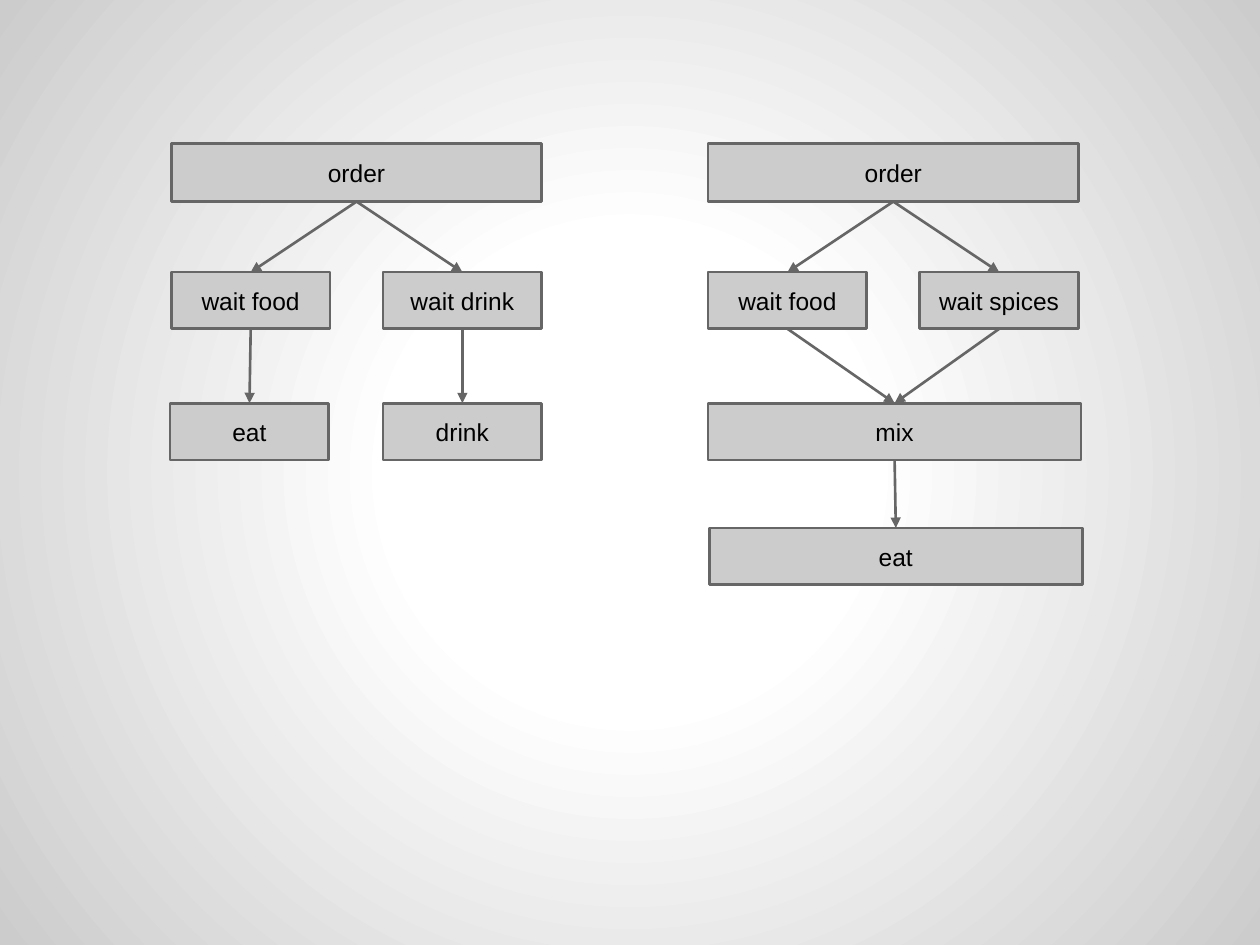
from pptx import Presentation
from pptx.dml.color import RGBColor
from pptx.enum.shapes import MSO_CONNECTOR, MSO_SHAPE
from pptx.enum.text import MSO_ANCHOR, MSO_AUTO_SIZE, PP_ALIGN
from pptx.oxml import parse_xml
from pptx.oxml.ns import nsdecls, qn
from pptx.util import Inches, Pt
from lxml import etree

GREY, DARK, BLACK = "CCCCCC", "666666", "000000"
ORDER_TOP, WAIT_TOP, THIRD_TOP, FOURTH_TOP = 1.14, 2.16, 3.2, 4.19
ORDER_HEIGHT, STEP_HEIGHT = 0.46, 0.45
HALF_WIDTH = 1.26
BOTTOM_SITE, TOP_SITE = 2, 0


def color(hex_value):
    return RGBColor.from_string(hex_value)


def paint_background(slide):
    slide.background.fill.gradient()
    default_gradient = slide.element.find(".//" + qn("a:gradFill"))
    stops = "".join(
        f'<a:gs pos="{percent * 1000}"><a:srgbClr val="{shade}"/></a:gs>'
        for percent, shade in ((0, "FFFFFF"), (30, "FFFFFF"), (100, GREY))
    )
    radial_gradient = parse_xml(
        f'<a:gradFill {nsdecls("a")}><a:gsLst>{stops}</a:gsLst>'
        '<a:path path="circle"><a:fillToRect l="50000" t="50000" r="50000" b="50000"/></a:path>'
        "</a:gradFill>"
    )
    default_gradient.getparent().replace(default_gradient, radial_gradient)


def add_step(slide, label, left, top, width, height=STEP_HEIGHT):
    step = slide.shapes.add_shape(
        MSO_SHAPE.RECTANGLE, Inches(left), Inches(top), Inches(width), Inches(height)
    )
    step.shadow.inherit = False
    step.fill.solid()
    step.fill.fore_color.rgb = color(GREY)
    step.line.color.rgb = color(DARK)
    step.line.width = Pt(1.5)
    frame = step.text_frame
    frame.word_wrap = True
    frame.auto_size = MSO_AUTO_SIZE.SHAPE_TO_FIT_TEXT
    frame.vertical_anchor = MSO_ANCHOR.MIDDLE
    frame.margin_left = frame.margin_right = Inches(0.1)
    frame.margin_top = frame.margin_bottom = Inches(0.1)
    paragraph = frame.paragraphs[0]
    paragraph.alignment = PP_ALIGN.CENTER
    run = paragraph.add_run()
    run.text = label
    run.font.name = "Arial"
    run.font.size = Pt(14)
    run.font.color.rgb = color(BLACK)
    return step


def add_arrow(slide, source, target):
    arrow = slide.shapes.add_connector(MSO_CONNECTOR.STRAIGHT, 0, 0, 0, 0)
    arrow.begin_connect(source, BOTTOM_SITE)
    arrow.end_connect(target, TOP_SITE)
    arrow.line.color.rgb = color(DARK)
    arrow.line.width = Pt(1.5)
    properties = arrow.element.spPr
    etree.SubElement(properties.find(qn("a:ln")), qn("a:tailEnd"), type="triangle")
    etree.SubElement(properties, qn("a:effectLst"))


def add_fork(slide, left, width, wait_labels):
    order = add_step(slide, "order", left, ORDER_TOP, width, ORDER_HEIGHT)
    wait_lefts = (left, left + width - HALF_WIDTH)
    waits = [
        add_step(slide, label, wait_left, WAIT_TOP, HALF_WIDTH)
        for label, wait_left in zip(wait_labels, wait_lefts)
    ]
    for wait in waits:
        add_arrow(slide, order, wait)
    return waits


def add_parallel_flow(slide, left, width):
    waits = add_fork(slide, left, width, ("wait food", "wait drink"))
    result_lefts = (left - 0.01, left + width - HALF_WIDTH)
    for wait, label, result_left in zip(waits, ("eat", "drink"), result_lefts):
        result = add_step(slide, label, result_left, THIRD_TOP, HALF_WIDTH)
        add_arrow(slide, wait, result)


def add_joined_flow(slide, left, width):
    waits = add_fork(slide, left, width, ("wait food", "wait spices"))
    eat = add_step(slide, "eat", left + 0.01, FOURTH_TOP, width + 0.02)
    mix = add_step(slide, "mix", left, THIRD_TOP, width + 0.02)
    for wait in waits:
        add_arrow(slide, wait, mix)
    add_arrow(slide, mix, eat)


def main():
    presentation = Presentation()
    presentation.slide_width = Inches(10)
    presentation.slide_height = Inches(7.5)
    slide = presentation.slides.add_slide(presentation.slide_layouts[6])
    paint_background(slide)
    add_parallel_flow(slide, 1.36, 2.94)
    add_joined_flow(slide, 5.62, 2.94)
    presentation.save("out.pptx")


if __name__ == "__main__":
    main()
